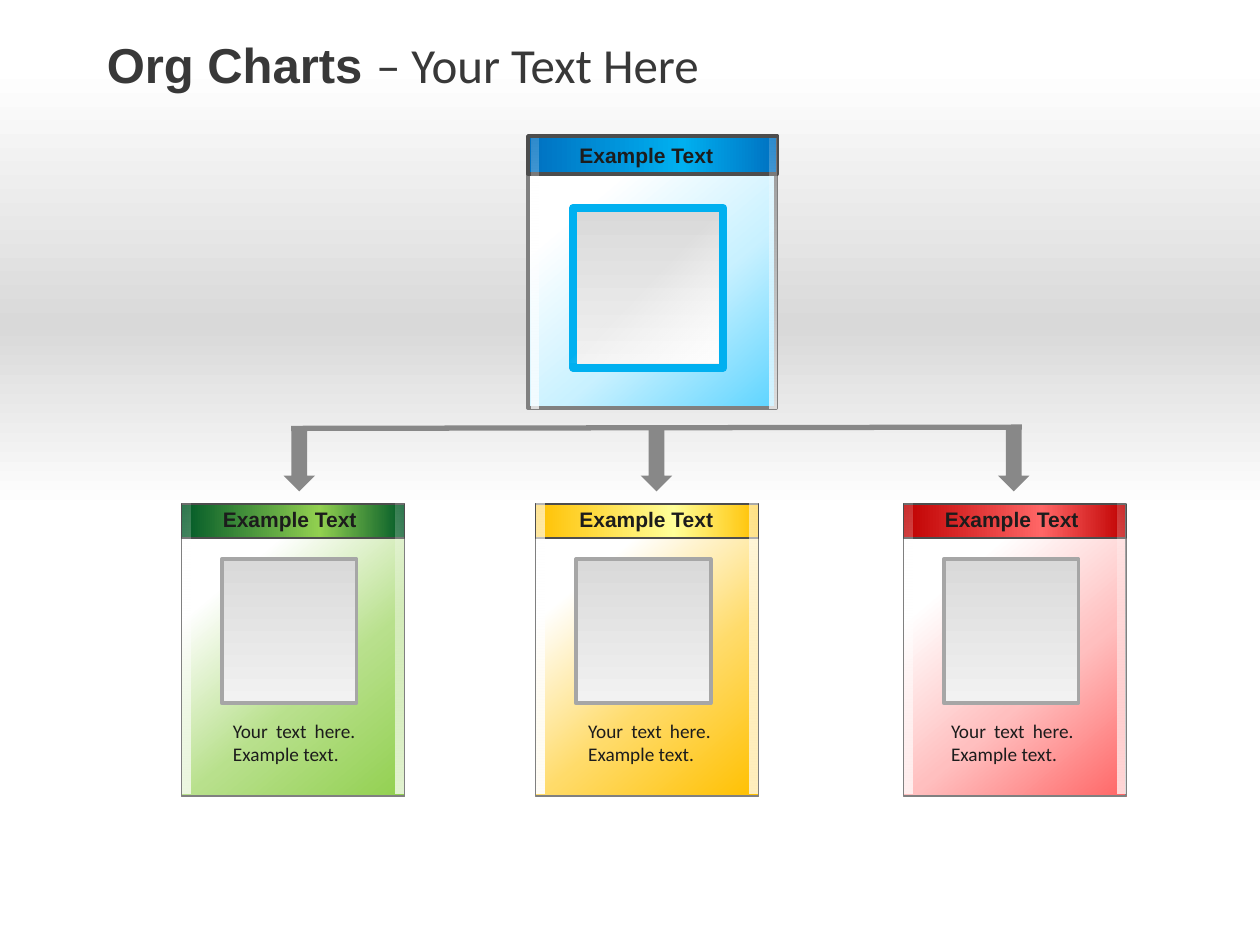
import lxml.etree
import pptx
import pptx.dml.color
import pptx.enum.shapes
import pptx.enum.text
import pptx.oxml
import pptx.oxml.ns
import pptx.util

Inches = pptx.util.Inches
Pt = pptx.util.Pt
RGB = pptx.dml.color.RGBColor.from_string
SHAPE = pptx.enum.shapes.MSO_SHAPE
ALIGN = pptx.enum.text.PP_ALIGN
qn = pptx.oxml.ns.qn

THEME = {
    "title": "383838", "ink": "1C1C1C", "edge": "808080", "header_edge": "4D4D4D",
    "photo_edge": "A6A6A6", "arrow": "888888", "top_photo_edge": "00B0F0",
    "heading_font": "Arial", "body_font": "Calibri",
    "title_size": 28, "label_size": 12, "body_size": 11,
    "backdrop": [(20, "FFFFFF", 100), (100, "D9D9D9", 100)],
    "photo": [(0, "F2F2F2", 100), (100, "D9D9D9", 100)],
    "strip": [(0, "FFFFFF", 18), (100, "FFFFFF", 74)],
    "left_strip_strong": [(0, "FFFFFF", 59), (100, "FFFFFF", 95)],
    "right_strip_strong": [(0, "FFFFFF", 52), (100, "FFFFFF", 74)],
    "gloss": [(51, "FFFFFF", 0), (100, "FFFFFF", 100)],
}

deck = pptx.Presentation()
deck.slide_width, deck.slide_height = Inches(10), Inches(7.5)
slide = deck.slides.add_slide(deck.slide_layouts[6])


def panel(at, stops, angle, edge=None, edge_width=1):
    shape = slide.shapes.add_shape(SHAPE.RECTANGLE, *map(Inches, at))
    shape.shadow.inherit = False
    shape.fill.gradient()
    gradient = shape.fill._xPr.find(qn("a:gradFill"))
    for child in list(gradient):
        gradient.remove(child)
    stop_list = lxml.etree.SubElement(gradient, qn("a:gsLst"))
    for position, color, opacity in stops:
        stop = lxml.etree.SubElement(stop_list, qn("a:gs"), pos=str(position * 1000))
        tone = lxml.etree.SubElement(stop, qn("a:srgbClr"), val=color)
        if opacity < 100:
            lxml.etree.SubElement(tone, qn("a:alpha"), val=str(opacity * 1000))
    lxml.etree.SubElement(gradient, qn("a:lin"), ang=str(angle * 60000), scaled="0")
    if edge:
        shape.line.color.rgb = RGB(edge)
        shape.line.width = Pt(edge_width)
    else:
        shape.line.fill.background()
    return shape


def write(at, text, size, font, bold=False, align=ALIGN.LEFT):
    frame = slide.shapes.add_textbox(*map(Inches, at)).text_frame
    frame.word_wrap = True
    frame.text = text
    frame.paragraphs[0].alignment = align
    run_font = frame.paragraphs[0].runs[0].font
    run_font.size, run_font.name, run_font.bold = Pt(size), font, bold
    run_font.color.rgb = RGB(THEME["ink"])


lower_backdrop = panel((0, 2.59, 10, 1.82), THEME["backdrop"], 90)
lower_backdrop.rotation = 180
panel((0, 0, 10, 2.59), THEME["backdrop"], 90)

title = slide.shapes.add_shape(
    SHAPE.ROUNDED_RECTANGLE, Inches(0.75), Inches(0.17), Inches(6.17), Inches(0.67))
title.adjustments[0] = 0
title.shadow.inherit = False
title.fill.background()
title.line.fill.background()
title.text_frame.word_wrap = False
title.text_frame.vertical_anchor = pptx.enum.text.MSO_ANCHOR.MIDDLE
title_line = title.text_frame.paragraphs[0]
title_line.alignment = ALIGN.LEFT
for words, font, bold in (("Org Charts ", THEME["heading_font"], True),
                          ("– Your Text Here", THEME["body_font"], False)):
    run = title_line.add_run()
    run.text = words
    run.font.name, run.font.bold, run.font.size = font, bold, Pt(THEME["title_size"])
    run.font.color.rgb = RGB(THEME["title"])

plain_strips = (THEME["strip"], THEME["strip"])
strong_strips = (THEME["left_strip_strong"], THEME["right_strip_strong"])
cards = [
    (1.44, 1.67, 1.75, ("B8E08C", "92D050"), ("005828", "92D050"), plain_strips),
    (7.17, 7.4, 7.45, ("FFBFBF", "FF6666"), ("BF0000", "FF6666"), plain_strips),
    (4.25, 4.5, 4.57, ("FFDB69", "FFC000"), ("FFC000", "FFFF99"), strong_strips),
]
for left, label_left, body_left, (mid, end), (rim, glow), strips in cards:
    panel((left, 4.01, 1.77, 2.31),
          [(24, "FFFFFF", 100), (62, mid, 100), (100, end, 100)], 50, THEME["edge"])
    panel((left, 4, 1.77, 0.27),
          [(0, rim, 100), (62, glow, 100), (100, rim, 100)], 0, THEME["header_edge"])
    panel((left + 0.32, 4.44, 1.07, 1.14), THEME["photo"], 270, THEME["photo_edge"], 2.25)
    for offset, strip in zip((0.01, 1.7), strips):
        panel((left + offset, 4, 0.06, 2.3), strip, 90)
    write((label_left, 3.97, 1.42, 0.3), "Example Text",
          THEME["label_size"], THEME["heading_font"], True)
    write((body_left, 5.66, 1.17, 0.47), "Your text here. Example text.",
          THEME["body_size"], THEME["body_font"], align=ALIGN.JUSTIFY)

panel((4.19, 1.09, 1.97, 2.15),
      [(24, "FFFFFF", 100), (62, "C9F1FF", 100), (100, "5DD4FF", 100)], 50, THEME["edge"], 2)
panel((4.19, 1.08, 1.98, 0.3),
      [(0, "0070C0", 100), (62, "00B0F0", 100), (100, "0070C0", 100)],
      0, THEME["header_edge"], 2)
panel((4.55, 1.65, 1.19, 1.27), THEME["photo"], 270, THEME["top_photo_edge"], 4.5)
write((4.5, 1.08, 1.42, 0.3), "Example Text",
      THEME["label_size"], THEME["heading_font"], True)
panel((4.5, 1.62, 1.2, 1.26), THEME["gloss"], 45)
for strip_left in (6.11, 4.22):
    panel((strip_left, 1.1, 0.05, 2.14), THEME["strip"], 90)

for branch in range(3):
    arrow = slide.shapes.add_shape(
        SHAPE.DOWN_ARROW, Inches(2.25 + branch * 2.835), Inches(3.4), Inches(0.25), Inches(0.5))
    arrow.shadow.inherit = False
    arrow.fill.solid()
    arrow.fill.fore_color.rgb = RGB(THEME["arrow"])
    arrow.line.fill.background()

trunk = slide.shapes.add_connector(
    pptx.enum.shapes.MSO_CONNECTOR.STRAIGHT, Inches(2.31), Inches(3.4), Inches(8.11), Inches(3.39))
trunk.line.color.rgb = RGB(THEME["arrow"])
trunk.line.width = Pt(3)
lxml.etree.SubElement(trunk._element.spPr, qn("a:effectLst"))

deck.save("out.pptx")
